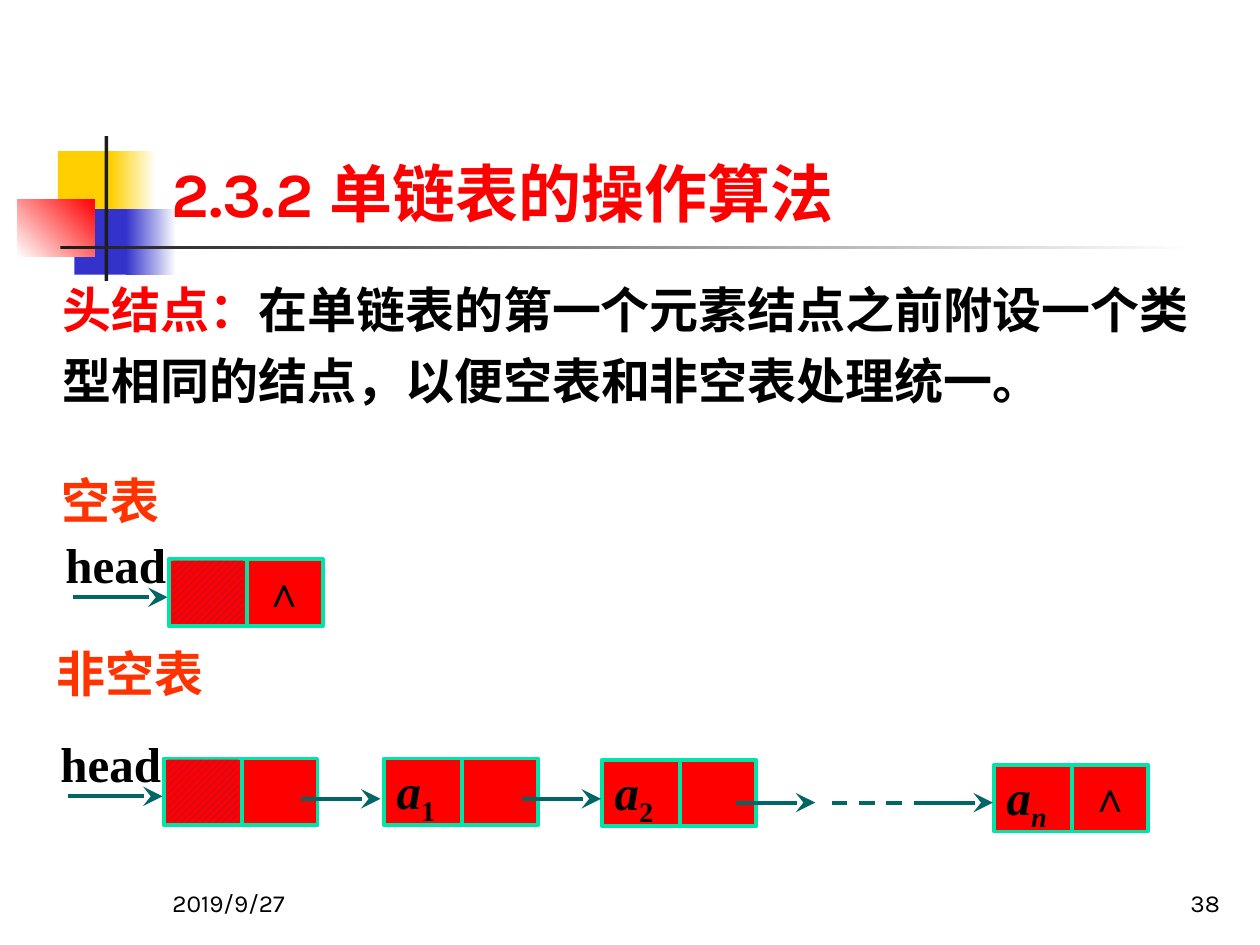
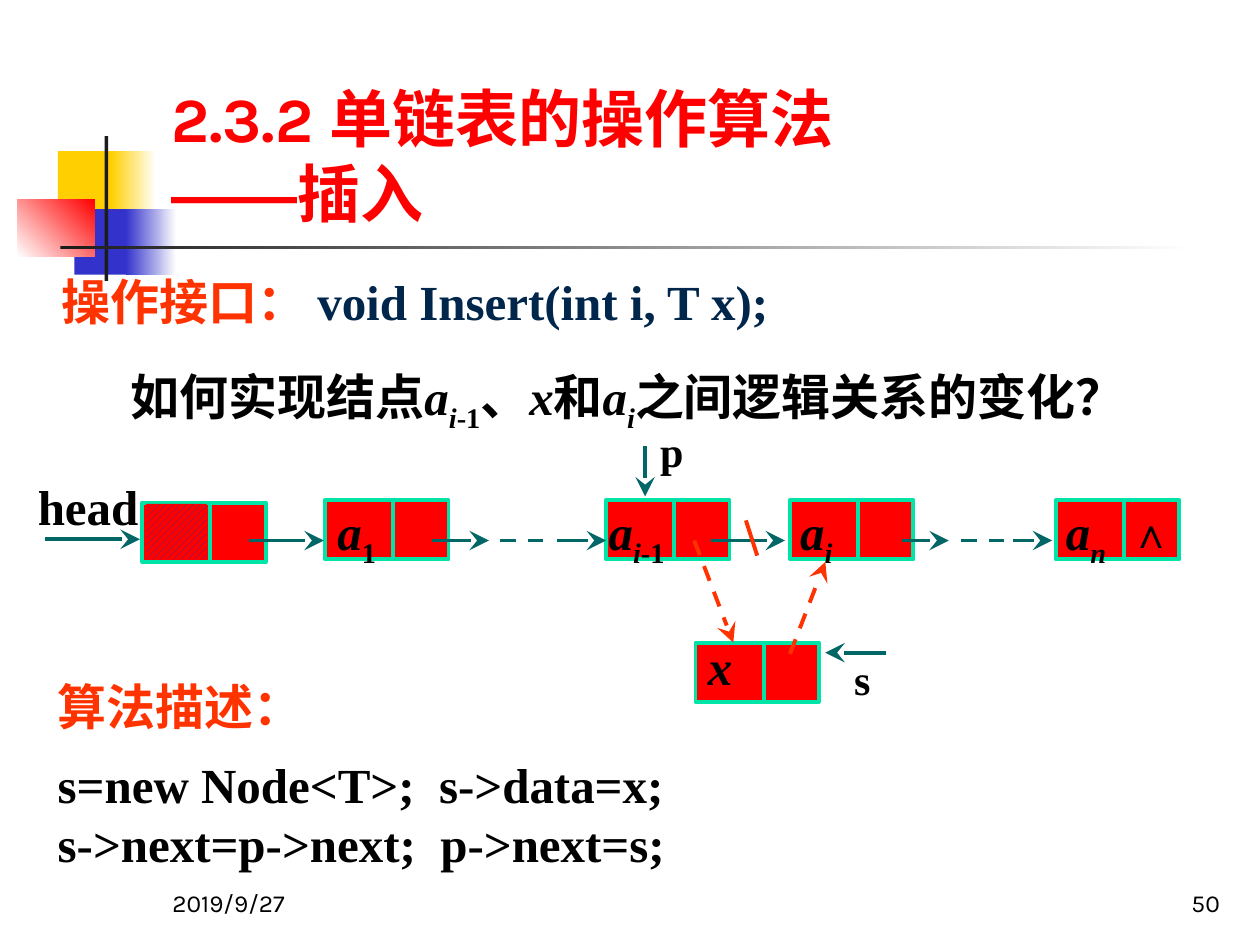
import dataclasses

import lxml.etree
import pptx
import pptx.dml.color
import pptx.enum.dml
import pptx.enum.shapes
import pptx.enum.text
import pptx.oxml.ns
import pptx.util

Inches = pptx.util.Inches
Pt = pptx.util.Pt
Align = pptx.enum.text.PP_ALIGN
Anchor = pptx.enum.text.MSO_ANCHOR
qn = pptx.oxml.ns.qn


@dataclasses.dataclass(frozen=True)
class Theme:
    black: str = "000000"
    white: str = "FFFFFF"
    red: str = "FF0000"
    orange: str = "FF3300"
    yellow: str = "FFCF01"
    blue: str = "3333CC"
    hatch: str = "333399"
    navy: str = "00264C"
    bar: str = "1C1C1C"
    mint: str = "00E4A8"
    teal: str = "006666"
    title_font: str = "Karla"
    body_font: str = "Times New Roman"
    dash_font: str = "Arial"
    chinese_font: str = "Noto Sans CJK SC"
    title_size: int = 36
    body_size: int = 28
    mark_size: int = 24
    footer_size: int = 14
    stroke: float = 2.25
    pitch: float = 1.2
    label_pitch: float = 1.3


@dataclasses.dataclass(frozen=True)
class Span:
    text: str
    color: str = None
    font: str = None
    chinese: str = None
    italic: bool = False
    sub: bool = False


def rgb(value):
    return pptx.dml.color.RGBColor.from_string(value)


class Painter:
    def __init__(self, theme):
        self.theme = theme
        self.deck = pptx.Presentation()
        self.deck.slide_width = Inches(10)
        self.deck.slide_height = Inches(7.5)
        self.page = None

    def start_page(self, number):
        theme = self.theme
        self.page = self.deck.slides.add_slide(self.deck.slide_layouts[6])
        self.rect((0.46, 1.2, 0.48, 0.52), theme.yellow)
        self.gradient((0.88, 1.2, 0.36, 0.52), theme.yellow, theme.white)
        self.rect((0.59, 1.66, 0.46, 0.52), theme.blue)
        self.gradient((1, 1.66, 0.4, 0.52), theme.blue, theme.white)
        self.gradient((0.14, 1.58, 0.61, 0.46), theme.white, theme.red, 45)
        self.rect((0.83, 1.08, 0.03, 1.15), theme.bar)
        self.gradient((0.48, 1.95, 9, 0.03), theme.bar, theme.white)
        for left, words, align in ((1.27, "2019/9/27", Align.LEFT),
                                   (7.7, number, Align.RIGHT)):
            self.text((left, 6.83, 2.08, 0.5), [[Span(words)]], size=theme.footer_size,
                      font=theme.title_font, bold=False, align=align, anchor=Anchor.BOTTOM)

    def rect(self, at, fill=None, line=None):
        shape = self.page.shapes.add_shape(
            pptx.enum.shapes.MSO_SHAPE.RECTANGLE, *map(Inches, at))
        shape.shadow.inherit = False
        if fill:
            shape.fill.solid()
            shape.fill.fore_color.rgb = rgb(fill)
        if line:
            shape.line.color.rgb = rgb(line)
            shape.line.width = Pt(self.theme.stroke)
        else:
            shape.line.fill.background()
        return shape

    def gradient(self, at, start, end, angle=0):
        fill = self.rect(at).fill
        fill.gradient()
        fill.gradient_angle = angle
        for stop, color in zip(fill.gradient_stops, (start, end)):
            stop.color.rgb = rgb(color)

    def hatch(self, at):
        fill = self.rect(at).fill
        fill.patterned()
        fill.pattern = pptx.enum.dml.MSO_PATTERN.WIDE_UPWARD_DIAGONAL
        fill.fore_color.rgb = rgb(self.theme.hatch)
        fill.back_color.rgb = rgb(self.theme.red)

    def line(self, start, end, color=None, arrow=False, dashed=False):
        link = self.page.shapes.add_connector(
            pptx.enum.shapes.MSO_CONNECTOR.STRAIGHT, *map(Inches, start + end))
        link.line.color.rgb = rgb(color or self.theme.teal)
        link.line.width = Pt(self.theme.stroke)
        if dashed:
            link.line.dash_style = pptx.enum.dml.MSO_LINE.DASH
        properties = link._element.spPr
        if arrow:
            lxml.etree.SubElement(properties.find(qn("a:ln")), qn("a:tailEnd"),
                                  type="stealth", w="lg", len="lg")
        lxml.etree.SubElement(properties, qn("a:effectLst"))

    def arrow(self, start, end, **style):
        self.line(start, end, arrow=True, **style)

    def text(self, at, paragraphs, size=None, color=None, font=None, bold=True,
             pitch=None, inset=(0.1, 0.05, 0.1, 0.05), align=Align.LEFT,
             anchor=Anchor.TOP, gaps=()):
        theme = self.theme
        size = size or theme.body_size
        box = self.page.shapes.add_textbox(*map(Inches, at))
        frame = box.text_frame
        frame.word_wrap = True
        frame.vertical_anchor = anchor
        (frame.margin_left, frame.margin_top,
         frame.margin_right, frame.margin_bottom) = map(Inches, inset)
        for index, spans in enumerate(paragraphs):
            para = frame.add_paragraph() if index else frame.paragraphs[0]
            para.alignment = align
            first_pitch = pitch or theme.pitch
            para.line_spacing = Pt(round(size * (theme.pitch if index else first_pitch), 1))
            if index and gaps:
                para.space_before = Pt(gaps[index - 1])
            for span in spans:
                if span.text == "\n":
                    para.add_line_break()
                    continue
                self.run(para, span, size, color or theme.black, font or theme.body_font, bold)

    def run(self, para, span, size, color, font, bold):
        run = para.add_run()
        run.text = span.text
        run.font.size = Pt(size)
        run.font.bold = bold
        run.font.italic = span.italic
        run.font.name = span.font or font
        run.font.color.rgb = rgb(span.color or color)
        properties = run._r.get_or_add_rPr()
        if span.sub:
            properties.set("baseline", "-25000")
        lxml.etree.SubElement(properties, qn("a:ea"),
                              typeface=span.chinese or self.theme.chinese_font)

    def title(self, *spans):
        self.text((1.26, 0.23, 8.52, 1.6), [spans], size=self.theme.title_size,
                  color=self.theme.red, font=self.theme.title_font,
                  inset=(0.1, 0.05, 0.1, 0), anchor=Anchor.BOTTOM)

    def label(self, left, top, words):
        self.text((left, top, 2.67, 0.57), [[Span(words)]], color=self.theme.orange,
                  pitch=self.theme.label_pitch)

    def head(self, left, top):
        self.text((left, top, 0.83, 0.51), [[Span("head")]], inset=(0, 0, 0, 0.04))
        self.arrow((left + 0.06, top + 0.5), (left + 0.81, top + 0.5))

    def pointer_name(self, left, top, name):
        self.text((left, top, 0.27, 0.4), [[Span(name)]], size=self.theme.mark_size,
                  inset=(0, 0, 0, 0))

    def node(self, left, top, size, spans=(), indent=0.1, hatched=False, last=False):
        theme = self.theme
        width, height, split = size
        self.rect((left, top, width, height), theme.red, theme.mint)
        self.line((left + split, top), (left + split, top + height), theme.mint)
        if hatched:
            self.hatch((left + 0.03, top + 0.01, split - 0.06, height - 0.03))
        if spans:
            pitch = 1.4 if len(spans) > 1 else 1.08
            self.text((left, top, width, height), [spans], pitch=pitch,
                      inset=(indent, 0, 0, 0.08))
        if last:
            self.text((left + split, top, width - split, height),
                      [[Span("∧", chinese=theme.body_font)]], size=theme.mark_size,
                      inset=(0, 0.05, 0, 0), align=Align.CENTER)


def element(index, italic=True):
    return [Span("a", italic=True), Span(index, italic=italic, sub=True)]


PREVIOUS = element("i") + [Span("-1", sub=True)]
HEADING = Span("2.3.2 单链表的操作算法")


def head_node_page(painter):
    theme = painter.theme
    size = (1.22, 0.53, 0.62)
    painter.start_page("38")
    painter.text((0.4, 2.07, 9.25, 1.22), [[
        Span("头结点：", color=theme.red, font=theme.chinese_font),
        Span("在"),
        Span("单链表的第一个元素结点之前附设一个类型相同的结点，以便空表和非空表处理统一。",
             font=theme.chinese_font),
    ]], pitch=1.45)

    painter.label(0.39, 3.65, "空表")
    painter.head(0.52, 4.24)
    painter.node(1.34, 4.44, size, hatched=True, last=True)

    painter.label(0.35, 5.02, "非空表")
    painter.head(0.48, 5.82)
    painter.node(1.3, 6.02, size, hatched=True)
    painter.node(3.05, 6.02, size, element("1", False))
    painter.node(4.78, 6.03, size, element("2", False))
    painter.node(7.89, 6.07, size, element("n"), last=True)
    for left, height in ((2.39, 6.34), (4.14, 6.34), (5.84, 6.37), (7.25, 6.37)):
        painter.arrow((left, height), (left + 0.63, height))
    painter.line((6.6, 6.37), (7.21, 6.37), dashed=True)
    painter.title(HEADING)


def insert_page(painter):
    theme = painter.theme
    size = (0.98, 0.47, 0.54)
    painter.start_page("50")
    painter.text((0.39, 2.07, 8.75, 0.57), [[
        Span("操作接口： ", color=theme.orange),
        Span("void Insert(int i, T x);", color=theme.navy),
    ]], pitch=theme.label_pitch, align=Align.JUSTIFY)
    painter.text((0.94, 2.86, 8.15, 0.57), [[
        Span("如何实现结点"), *PREVIOUS, Span("、"), Span("x", italic=True),
        Span("和"), *element("i"), Span("之间逻辑关系的变化？"),
    ]], pitch=1.37)

    painter.head(0.3, 3.78)
    painter.node(1.13, 3.99, size, hatched=True)
    painter.node(2.58, 3.97, size, element("1", False))
    painter.node(4.81, 3.97, size, PREVIOUS, indent=0.02)
    painter.node(6.27, 3.97, size, element("i"), indent=0.08)
    painter.node(8.38, 3.97, size, element("n"), indent=0.08, last=True)
    painter.node(5.52, 5.1, size, [Span("x", italic=True)])

    chain = 4.29
    for left, right in ((1.98, 2.57), (3.43, 3.88), (4.42, 4.81),
                        (5.64, 6.23), (7.16, 7.53), (8.04, 8.35)):
        painter.arrow((left, chain), (right, chain))
    for left in (3.97, 7.63):
        painter.line((left, chain), (left + 0.35, chain), dashed=True)

    painter.arrow((5.12, 3.54), (5.12, 3.94))
    painter.pointer_name(5.24, 3.38, "p")
    painter.arrow((7.03, 5.18), (6.55, 5.18))
    painter.pointer_name(6.78, 5.19, "s")

    painter.arrow((5.51, chain), (5.82, 5.1), color=theme.orange, dashed=True)
    painter.arrow((6.27, 5.19), (6.55, 4.46), color=theme.orange, dashed=True)
    painter.line((5.92, 4.13), (6.01, 4.41), theme.orange)

    painter.text((0.36, 5.28, 5.57, 1.74), [
        [Span("算法描述：", color=theme.orange)],
        [Span("s=new Node<T>;  s->data=x;")],
        [Span("s->next=p->next;  p->next=s;")],
    ], pitch=theme.label_pitch, align=Align.JUSTIFY, gaps=(11, 0))
    painter.title(HEADING, Span("\n"),
                  Span("——", font=theme.dash_font, chinese=theme.dash_font), Span("插入"))


def main():
    painter = Painter(Theme())
    head_node_page(painter)
    insert_page(painter)
    painter.deck.save("out.pptx")


if __name__ == "__main__":
    main()
